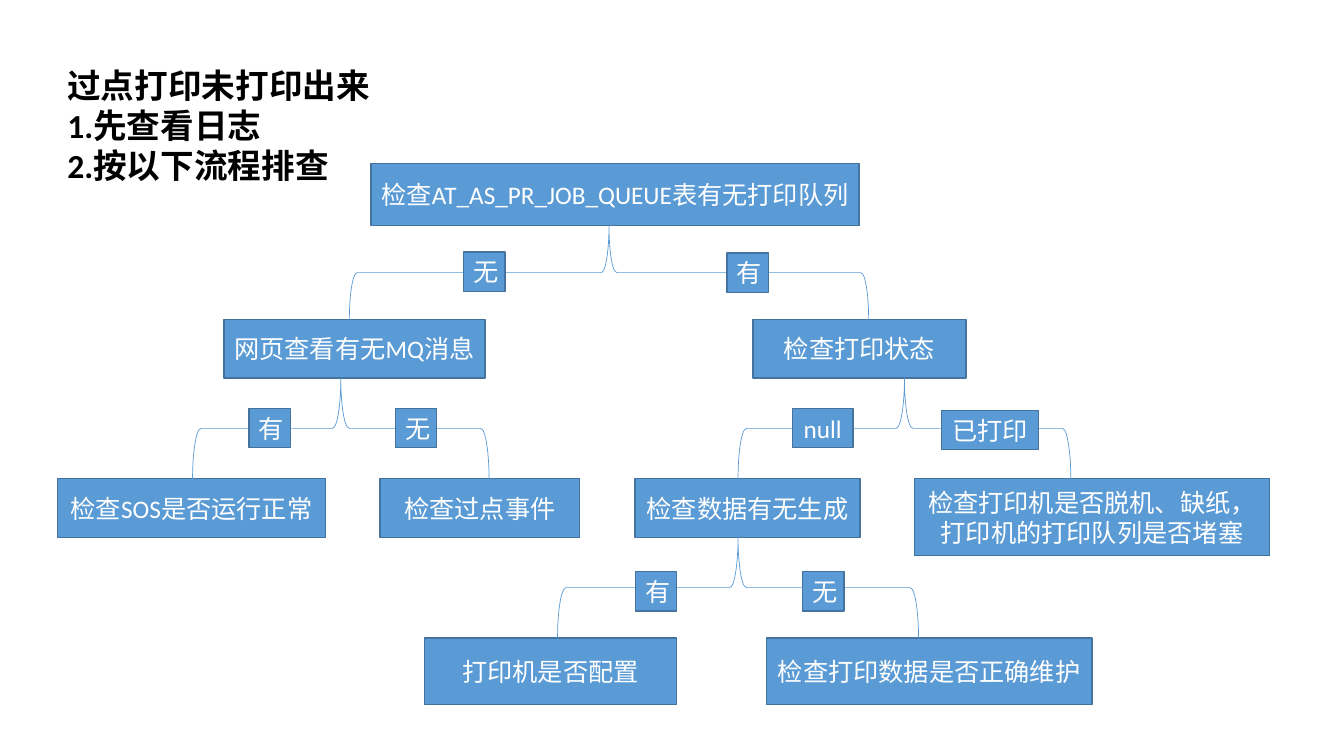
from pptx import Presentation
from pptx.util import Inches, Pt
from pptx.dml.color import RGBColor
from pptx.enum.shapes import MSO_SHAPE as Shape
from pptx.enum.text import PP_ALIGN as Align, MSO_ANCHOR as Anchor

# Content
title = ["过点打印未打印出来", "1.先查看日志", "2.按以下流程排查"]

# Rows of steps: top, height, then (text, left, width[, own height])
rows = [
    (1.62, 0.62, [("检查AT_AS_PR_JOB_QUEUE表有无打印队列", 3.68, 4.84)]),
    (3.17, 0.58, [("网页查看有无MQ消息", 2.22, 2.59),
                  ("检查打印状态", 7.47, 2.11)]),
    (4.75, 0.58, [("检查SOS是否运行正常", 0.57, 2.66),
                  ("检查过点事件", 3.77, 1.98),
                  ("检查数据有无生成", 6.3, 2.23),
                  ("检查打印机是否脱机、缺纸，打印机的打印队列是否堵塞", 9.07, 3.52, 0.76)]),
    (6.33, 0.66, [("打印机是否配置", 4.21, 2.5),
                  ("检查打印数据是否正确维护", 7.6, 3.23)]),
]

# Forks: row above, middle, span
forks = [(0, 6.04, 5.15), (1, 8.97, 3.3), (1, 3.38, 2.94), (2, 7.32, 3.58)]

# Answers on the forks: text, left, top, width
answers = [
    ("无", 4.6, 2.5, 0.41), ("有", 7.21, 2.51, 0.41),
    ("有", 2.47, 4.05, 0.41), ("无", 3.92, 4.05, 0.41),
    ("null", 7.86, 4.05, 0.6), ("已打印", 9.34, 4.07, 0.96),
    ("有", 6.3, 5.67, 0.41), ("无", 7.96, 5.67, 0.41),
]

hues = {"fill": "5B9BD5", "edge": "43739E", "light": "FFFFFF", "dark": "000000"}

prs = Presentation()
prs.slide_width, prs.slide_height = Inches(13.33), Inches(7.5)
slide = prs.slides.add_slide(prs.slide_layouts[6])


def hue(name):
    return RGBColor.from_string(hues[name])


def write(shape, lines, size=18, color="light", bold=False,
          align=Align.CENTER, anchor=Anchor.MIDDLE):
    frame = shape.text_frame
    frame.word_wrap = True
    frame.vertical_anchor = anchor
    for i, line in enumerate(lines):
        para = frame.add_paragraph() if i else frame.paragraphs[0]
        para.alignment = align
        run = para.add_run()
        run.text = line
        font = run.font
        font.name, font.size, font.bold = "Calibri", Pt(size), bold
        font.color.rgb = hue(color)


def draw(kind, left, top, width, height, edge, weight):
    shape = slide.shapes.add_shape(kind, *map(Inches, (left, top, width, height)))
    shape.shadow.inherit = False
    shape.line.color.rgb = hue(edge)
    shape.line.width = Pt(weight)
    return shape


def box(text, left, top, width, height):
    shape = draw(Shape.RECTANGLE, left, top, width, height, "edge", 1)
    shape.fill.solid()
    shape.fill.fore_color.rgb = hue("fill")
    write(shape, [text])


# Steps
for top, height, steps in rows:
    for text, left, width, *own in steps:
        box(text, left, top, width, own[0] if own else height)

# Forks fill the gap between two rows; a left brace turned to point up
for row, mid, span in forks:
    start = rows[row][0] + rows[row][1]
    gap = rows[row + 1][0] - start
    brace = draw(Shape.LEFT_BRACE, mid - gap / 2, start + gap / 2 - span / 2,
                 gap, span, "fill", 0.5)
    brace.fill.background()
    brace.rotation = 90

# Title
head = slide.shapes.add_textbox(*map(Inches, (0.57, 0.59, 4.71, 1.31)))
write(head, title, size=24, color="dark", bold=True,
      align=Align.LEFT, anchor=Anchor.TOP)

# Answers
for text, left, top, width in answers:
    box(text, left, top, width, 0.39)

prs.save("out.pptx")
